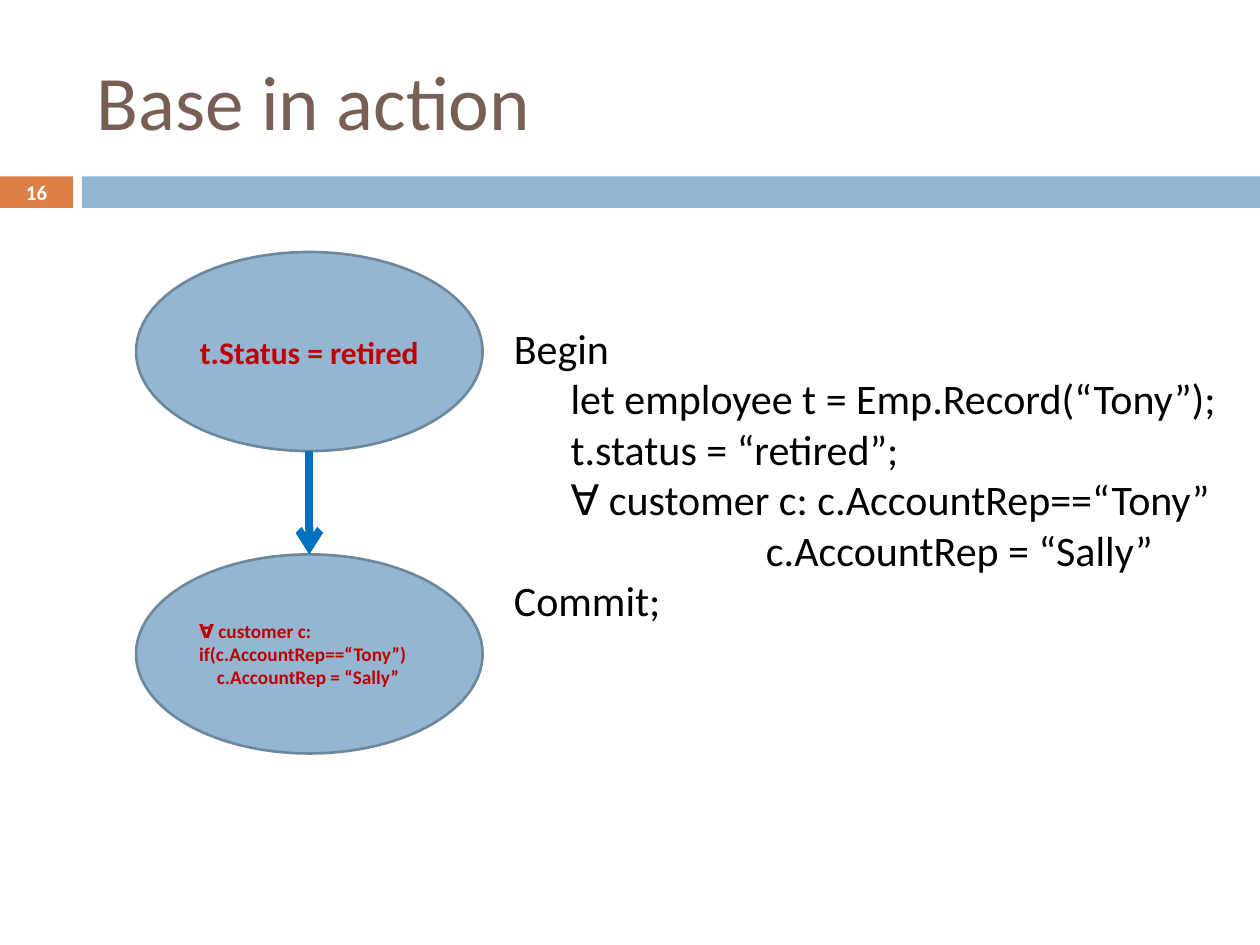
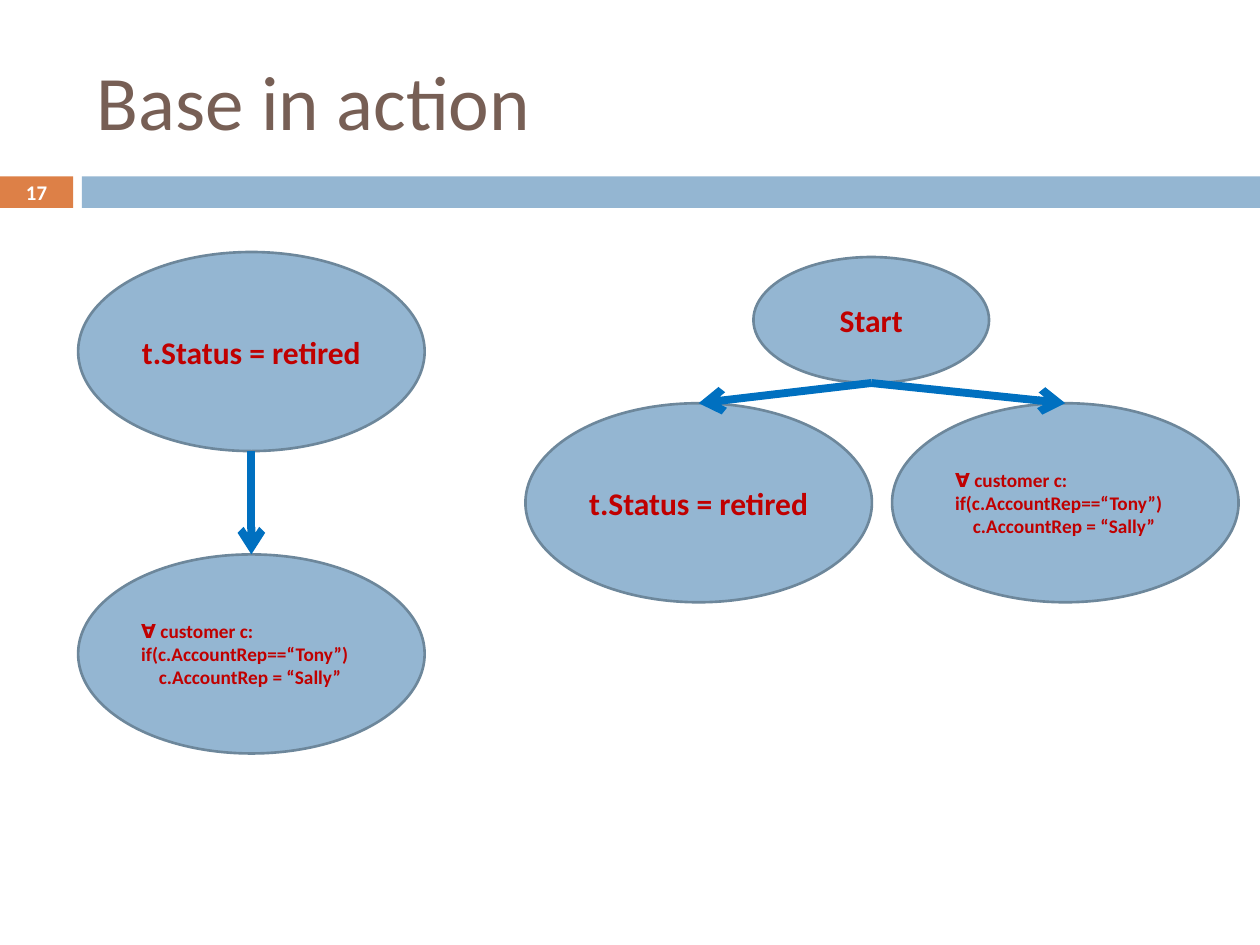
from lxml import etree
from pptx import Presentation
from pptx.dml.color import RGBColor
from pptx.enum import shapes, text
from pptx.oxml.ns import qn
from pptx.util import Inches, Pt

ORANGE = RGBColor(0xDD, 0x80, 0x47)
BLUE = RGBColor(0x94, 0xB6, 0xD2)
OUTLINE = RGBColor(0x6D, 0x87, 0x9B)
ARROW = RGBColor(0x00, 0x70, 0xC0)
BROWN = RGBColor(0x77, 0x5F, 0x55)
RED = RGBColor(0xC0, 0x00, 0x00)
BLACK = RGBColor(0, 0, 0)
WHITE = RGBColor(0xFF, 0xFF, 0xFF)
FONT = "Calibri"

STEP_SIZE = (2.75, 1.58)
RETIRE = [("t.Status = retired", 0)]
REASSIGN = [("∀ customer c: if(c.AccountRep==“Tony”)", 0),
            ("c.AccountRep = “Sally”", 0.14)]
TRANSACTION = [("Begin", 0.4),
               ("let employee t = Emp.Record(“Tony”);", 0.85),
               ("t.status = “retired”;", 0.85),
               ("∀ customer c: c.AccountRep==“Tony”", 0.85),
               ("c.AccountRep = “Sally”", 2.4),
               ("Commit;", 0.4)]


def write(shape, lines, size, color, bold=False, align=text.PP_ALIGN.LEFT,
          anchor=text.MSO_ANCHOR.MIDDLE):
    """Fill a shape with (line, left indent in inches) pairs."""
    frame = shape.text_frame
    frame.word_wrap = True
    frame.vertical_anchor = anchor
    for number, (line, indent) in enumerate(lines):
        paragraph = frame.add_paragraph() if number else frame.paragraphs[0]
        paragraph.alignment = align
        paragraph._p.get_or_add_pPr().set("marL", str(Inches(indent)))
        run = paragraph.add_run()
        run.text = line
        run.font.name, run.font.size, run.font.bold = FONT, Pt(size), bold
        run.font.color.rgb = color


class Deck:
    """Holds the shared style and the current slide."""

    def __init__(self):
        self.presentation = Presentation()
        self.presentation.slide_width = Inches(10)
        self.presentation.slide_height = Inches(7.5)
        self.slide = None

    def start_slide(self, title, number):
        layout = self.presentation.slide_layouts[6]
        self.slide = self.presentation.slides.add_slide(layout)
        self.shape(shapes.MSO_SHAPE.RECTANGLE, 0, 1.4, 0.58, 0.25, ORANGE)
        self.shape(shapes.MSO_SHAPE.RECTANGLE, 0.65, 1.4, 9.35, 0.25, BLUE)
        self.label([(title, 0)], 0.67, 0.25, 8.92, 1.08, size=44, color=BROWN)
        self.label([(str(number), 0)], 0, 1.39, 0.58, 0.27, size=11.9,
                   color=WHITE, bold=True, align=text.PP_ALIGN.CENTER)

    def shape(self, kind, left, top, width, height, fill, line=None):
        shape = self.slide.shapes.add_shape(
            kind, Inches(left), Inches(top), Inches(width), Inches(height))
        shape.shadow.inherit = False
        shape.fill.solid()
        shape.fill.fore_color.rgb = fill
        if line is None:
            shape.line.fill.background()
        else:
            shape.line.color.rgb = line
            shape.line.width = Pt(1.5)
        return shape

    def label(self, lines, left, top, width, height, **style):
        box = self.slide.shapes.add_textbox(
            Inches(left), Inches(top), Inches(width), Inches(height))
        write(box, lines, **style)

    def ellipse(self, lines, left, top, size=STEP_SIZE):
        ellipse = self.shape(shapes.MSO_SHAPE.OVAL, left, top, *size, BLUE, OUTLINE)
        single = len(lines) == 1
        write(ellipse, lines, size=18 if single else 11, color=RED, bold=True,
              align=text.PP_ALIGN.CENTER if single else text.PP_ALIGN.LEFT)
        return ellipse

    def arrow(self, source, target):
        """Draw from the bottom of one ellipse to the top of another."""
        connector = self.slide.shapes.add_connector(
            shapes.MSO_CONNECTOR.STRAIGHT,
            source.left + source.width // 2, source.top + source.height,
            target.left + target.width // 2, target.top)
        connector.end_connect(target, 0)
        connector.line.color.rgb = ARROW
        connector.line.width = Pt(4.5)
        etree.SubElement(connector.line._get_or_add_ln(), qn("a:tailEnd"), type="arrow")
        etree.SubElement(connector._element.spPr, qn("a:effectLst"))

    def sequence(self, left):
        """Two steps, one after the other."""
        first = self.ellipse(RETIRE, left, 2)
        second = self.ellipse(REASSIGN, left, 4.4)
        self.arrow(first, second)


def main():
    deck = Deck()

    # Transaction code beside its sequential steps
    deck.start_slide("Base in action", 16)
    deck.label(TRANSACTION, 3.58, 2.51, 6.42, 2.52, size=24, color=BLACK,
               anchor=text.MSO_ANCHOR.TOP)
    deck.sequence(1.08)

    # Sequential steps beside parallel steps
    deck.start_slide("Base in action", 17)
    deck.sequence(0.62)
    branches = [deck.ellipse(RETIRE, 4.17, 3.2), deck.ellipse(REASSIGN, 7.08, 3.2)]
    start = deck.ellipse([("Start", 0)], 5.98, 2.04, (1.87, 1))
    for branch in branches:
        deck.arrow(start, branch)

    deck.presentation.save("out.pptx")


if __name__ == "__main__":
    main()
